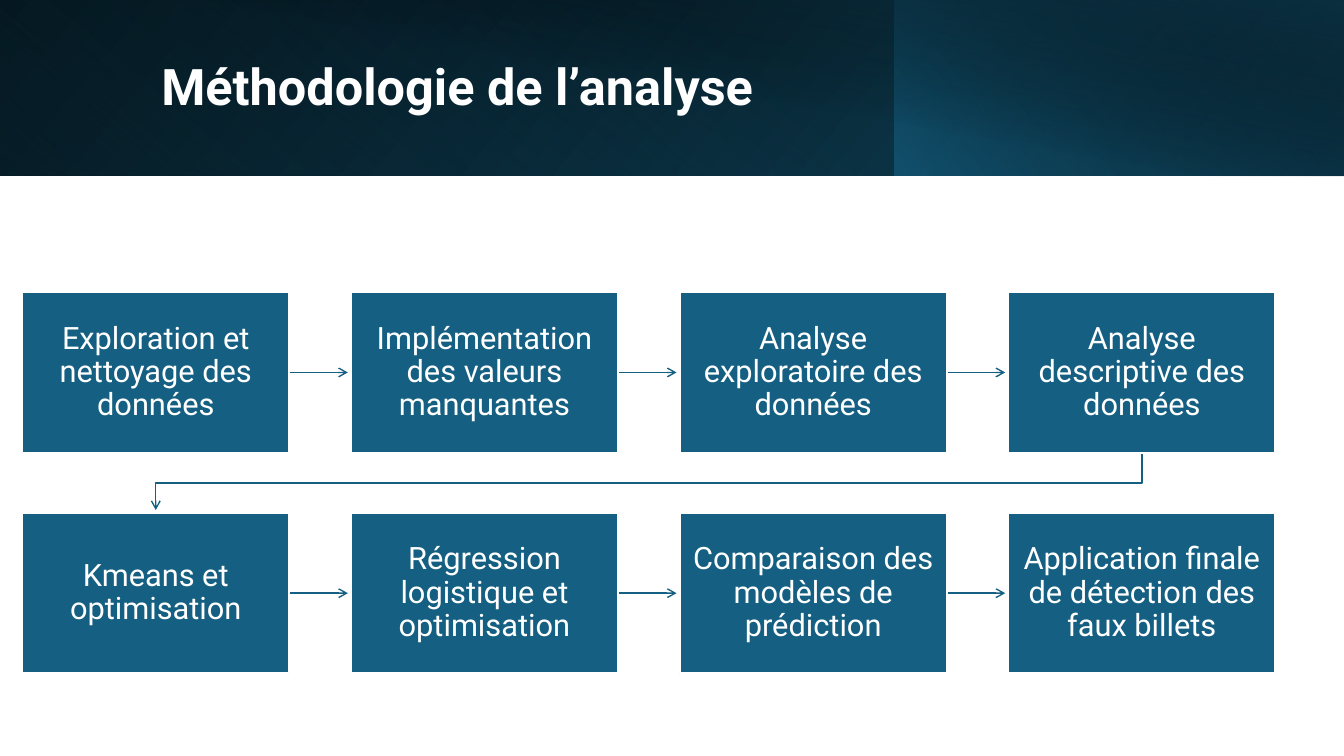
from lxml import etree
from pptx import Presentation
from pptx import util as u
from pptx.dml.color import RGBColor
from pptx.enum import shapes, text
from pptx.oxml import ns

COLORS = {
    "blue": "156082",
    "deep": "104862",
    "night": "0B3041",
    "black": "000000",
    "white": "FFFFFF",
}


class Deck:
    """Holds the style and the current slide."""

    font = "Roboto"

    def __init__(self, slide):
        self.slide = slide
        self.shapes = slide.shapes

    def color(self, name):
        return RGBColor.from_string(COLORS[name])

    def format_text(self, frame, size, align, bold=False):
        frame.word_wrap = True
        frame.auto_size = text.MSO_AUTO_SIZE.NONE
        frame.vertical_anchor = text.MSO_ANCHOR.MIDDLE
        for paragraph in frame.paragraphs:
            paragraph.alignment = align
            paragraph.line_spacing = 0.9
            for run in paragraph.runs:
                run.font.name = self.font
                run.font.size = u.Pt(size)
                run.font.bold = bold
                run.font.color.rgb = self.color("white")

    def rectangle(self, left, top, width, height):
        rect = self.shapes.add_shape(
            shapes.MSO_SHAPE.RECTANGLE, u.Inches(left), u.Inches(top),
            u.Inches(width), u.Inches(height))
        rect.shadow.inherit = False
        return rect

    def band(self, left, width, height, angle, stops):
        """Gradient rectangle; the angle runs clockwise, stops are (position, colour, opacity)."""
        band = self.rectangle(left, 0, width, height)
        band.line.fill.background()
        band.fill.gradient()
        band.fill.gradient_angle = 360 - angle
        for stop, (position, name, _) in zip(band.fill.gradient_stops, stops):
            stop.position = position
            stop.color.rgb = self.color(name)
        for node, (_, _, opacity) in zip(band._element.spPr.iter(ns.qn("a:srgbClr")), stops):
            if opacity < 100:
                etree.SubElement(node, ns.qn("a:alpha"), val=str(opacity * 1000))

    def title(self, wording, left, top, width, height):
        title = self.shapes.title
        title.left, title.top = u.Inches(left), u.Inches(top)
        title.width, title.height = u.Inches(width), u.Inches(height)
        title.text_frame.text = wording
        self.format_text(title.text_frame, 36, text.PP_ALIGN.LEFT, bold=True)
        # Bring the title in front of the header bands
        self.shapes._spTree.append(title._element)

    def step(self, wording, left, top, width, height):
        box = self.rectangle(left, top, width, height)
        box.fill.solid()
        box.fill.fore_color.rgb = self.color("blue")
        box.line.color.rgb = self.color("white")
        box.line.width = u.Pt(1.5)
        frame = box.text_frame
        frame.margin_left = frame.margin_right = u.Inches(0.13)
        frame.margin_top = frame.margin_bottom = u.Inches(0.14)
        frame.text = wording
        self.format_text(frame, 22, text.PP_ALIGN.CENTER)

    def style_arrow(self, arrow):
        arrow.line.color.rgb = self.color("blue")
        arrow.line.width = u.Pt(1)
        properties = arrow._element.spPr
        etree.SubElement(properties.find(ns.qn("a:ln")), ns.qn("a:tailEnd"), type="arrow")
        if properties.find(ns.qn("a:effectLst")) is None:
            etree.SubElement(properties, ns.qn("a:effectLst"))

    def arrow(self, left, top, length):
        self.style_arrow(self.shapes.add_connector(
            shapes.MSO_CONNECTOR.STRAIGHT, u.Inches(left), u.Inches(top),
            u.Inches(left + length), u.Inches(top)))

    def bent_arrow(self, points):
        start, *rest = [(u.Inches(x), u.Inches(y)) for x, y in points]
        builder = self.shapes.build_freeform(*start)
        builder.add_line_segments(rest, close=False)
        bend = builder.convert_to_shape()
        bend.shadow.inherit = False
        bend.fill.background()
        self.style_arrow(bend)


BANDS = [  # left, width, height, angle, stops
    (0, 13.33, 1.74, 40, [(0, "black", 100), (1, "deep", 100)]),
    (0, 8.88, 1.74, 130, [(0.2, "blue", 0), (1, "night", 55)]),
    (8.87, 4.46, 1.74, 320, [(0, "blue", 66), (1, "black", 30)]),
    (0.5, 12.83, 1.75, 280, [(0.5, "black", 0), (0.99, "night", 52)]),
]
STEPS = [
    ["Exploration et nettoyage des données", "Implémentation des valeurs manquantes",
     "Analyse exploratoire des données", "Analyse descriptive des données"],
    ["Kmeans et optimisation", "Régression logistique et optimisation",
     "Comparaison des modèles de prédiction",
     "Application finale de détection des faux billets"],
]
LEFT, TOP = 0.22, 2.9
WIDTH, HEIGHT = 2.65, 1.59
COLUMN_PITCH, ROW_PITCH = 3.26, 2.19
ARROW_LENGTH = 0.58


def main():
    presentation = Presentation()
    presentation.slide_width = u.Inches(13.33)
    presentation.slide_height = u.Inches(7.5)
    deck = Deck(presentation.slides.add_slide(presentation.slide_layouts[5]))

    # Header
    for band in BANDS:
        deck.band(*band)
    deck.title("Méthodologie de l’analyse", 1.5, 0.32, 10.82, 1.13)

    # Link from the end of the first row to the start of the second
    first_center = LEFT + WIDTH / 2
    last_center = first_center + 3 * COLUMN_PITCH
    row_bottom, bend_level = TOP + HEIGHT, 4.79
    deck.bent_arrow([(last_center, row_bottom), (last_center, bend_level),
                     (first_center, bend_level), (first_center, 5.06)])

    # Steps, each joined to the next in its row
    for row, wordings in enumerate(STEPS):
        top = TOP + row * ROW_PITCH
        for column, wording in enumerate(wordings):
            left = LEFT + column * COLUMN_PITCH
            if column < len(wordings) - 1:
                deck.arrow(left + WIDTH, top + HEIGHT / 2, ARROW_LENGTH)
            deck.step(wording, left, top, WIDTH, HEIGHT)

    presentation.save("out.pptx")


if __name__ == "__main__":
    main()
